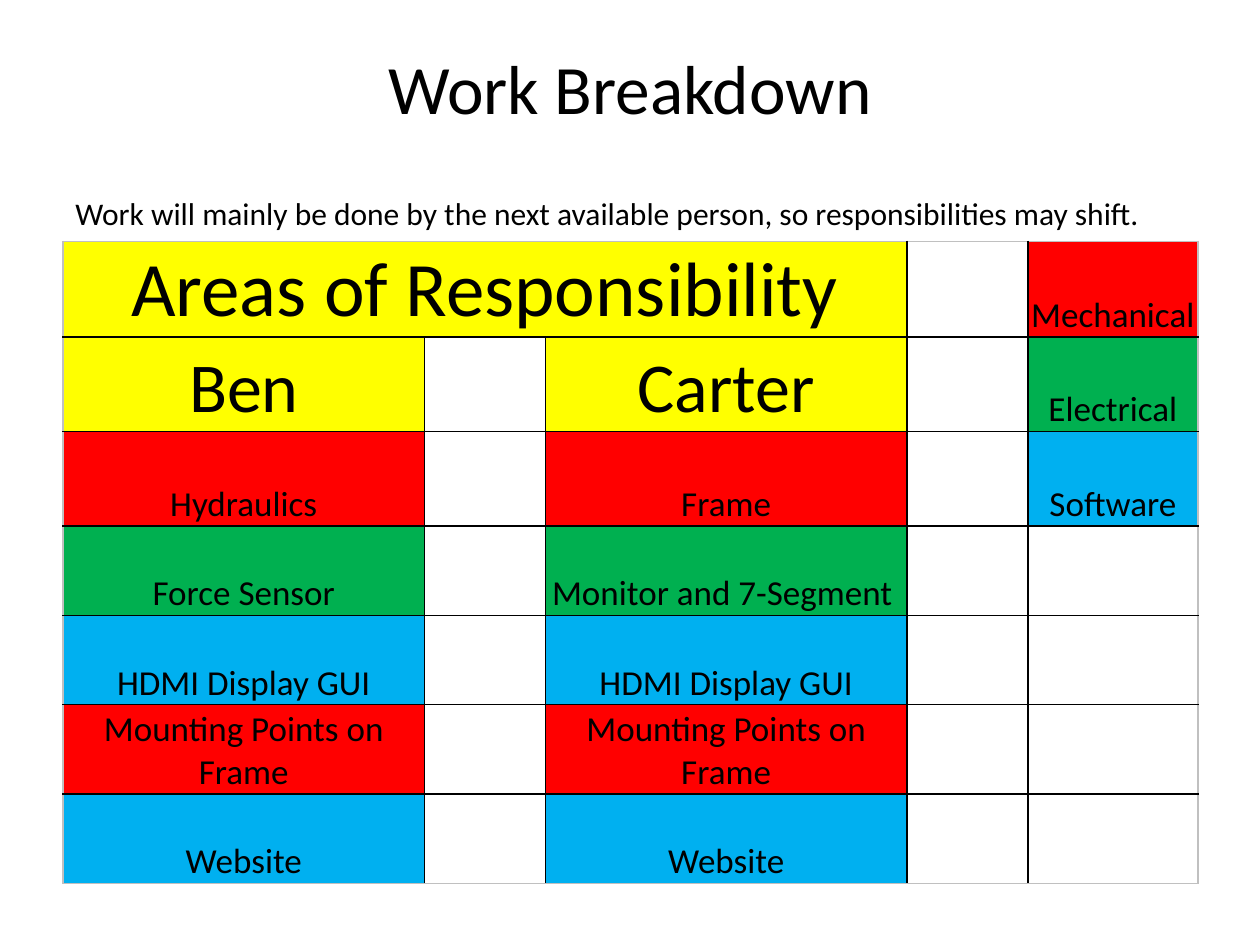
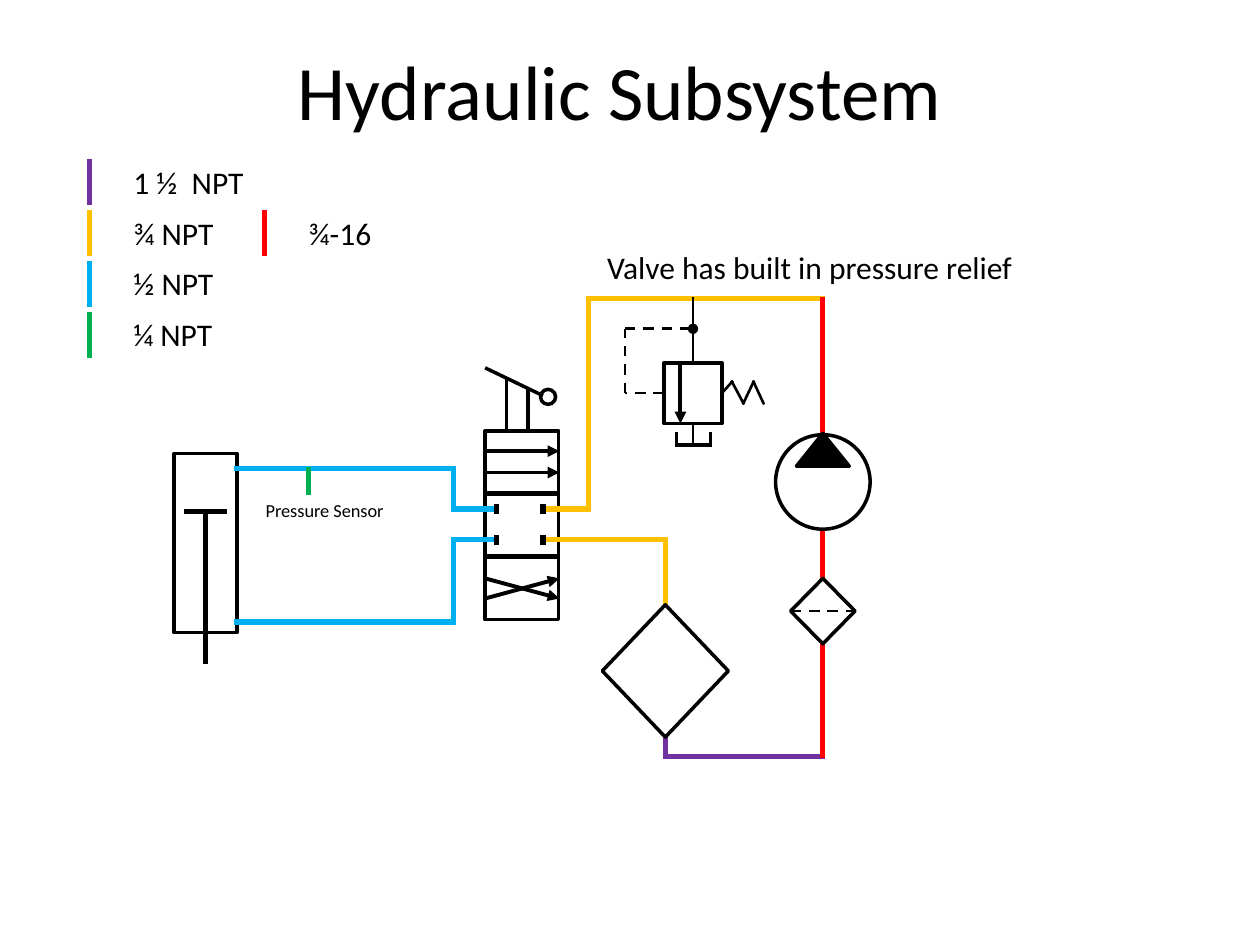
import dataclasses
import itertools
import typing

import lxml.etree
import pptx
import pptx.dml.color
import pptx.enum.dml
import pptx.enum.shapes
import pptx.enum.text
import pptx.oxml.ns
import pptx.util

Pt = pptx.util.Pt
qn = pptx.oxml.ns.qn
SHAPE = pptx.enum.shapes.MSO_SHAPE
ALIGN = pptx.enum.text.PP_ALIGN
ANCHOR = pptx.enum.text.MSO_ANCHOR
Point = tuple[float, float]
Box = tuple[float, float, float, float]


@dataclasses.dataclass(frozen=True)
class Theme:
    font: str = "Calibri"
    black: str = "000000"
    white: str = "FFFFFF"
    frame: str = "C0C0C0"
    yellow: str = "FFFF00"
    red: str = "FF0000"
    green: str = "00B050"
    blue: str = "00B0F0"
    amber: str = "FFC000"
    purple: str = "7030A0"
    title: float = 44
    small_title: float = 39.6
    names: float = 40
    task: float = 20
    body: float = 18
    note: float = 10.5
    pipe: float = 3
    arrow: float = 2.25
    outline: float = 2
    thin: float = 1.5


T = Theme()


@dataclasses.dataclass(frozen=True)
class Line:
    points: tuple[Point, ...]
    color: str = T.black
    width: float = T.pipe
    dashed: bool = False
    tip: str = ""


@dataclasses.dataclass(frozen=True)
class Part:
    kind: typing.Any
    box: Box
    fill: str = T.white


@dataclasses.dataclass(frozen=True)
class Label:
    text: str
    box: Box
    size: float = T.body
    wrap: bool = False


@dataclasses.dataclass(frozen=True)
class Task:
    text: str
    color: str
    size: float = T.task


@dataclasses.dataclass(frozen=True)
class Key:
    text: str
    color: str
    column: int
    row: int
    width: float


def rgb(color: str) -> pptx.dml.color.RGBColor:
    return pptx.dml.color.RGBColor.from_string(color)


def format_runs(tf, size: float, align=ALIGN.LEFT) -> None:
    for p in tf.paragraphs:
        p.alignment = align
        for r in p.runs:
            r.font.name, r.font.size = T.font, Pt(size)
            r.font.color.rgb = rgb(T.black)


def add_titled_slide(prs, text: str, box: Box, size: float):
    s = prs.slides.add_slide(prs.slide_layouts[5])
    sp = s.shapes.title
    sp.left, sp.top, sp.width, sp.height = map(Pt, box)
    tf = sp.text_frame
    tf.text = text
    tf.auto_size = pptx.enum.text.MSO_AUTO_SIZE.NONE
    tf.vertical_anchor = ANCHOR.MIDDLE
    format_runs(tf, size, ALIGN.CENTER)
    return s


def add_label(s, label: Label) -> None:
    tf = s.shapes.add_textbox(*map(Pt, label.box)).text_frame
    tf.text = label.text
    tf.word_wrap = label.wrap
    format_runs(tf, label.size)


def add_part(s, part: Part) -> None:
    sp = s.shapes.add_shape(part.kind, *map(Pt, part.box))
    sp.shadow.inherit = False
    sp.fill.solid()
    sp.fill.fore_color.rgb = rgb(part.fill)
    sp.line.color.rgb = rgb(T.black)
    sp.line.width = Pt(T.outline)


def add_line(s, line: Line) -> None:
    for start, end in itertools.pairwise(line.points):
        sp = s.shapes.add_connector(
            pptx.enum.shapes.MSO_CONNECTOR.STRAIGHT, *map(Pt, start + end))
        sp.line.color.rgb = rgb(line.color)
        sp.line.width = Pt(line.width)
        if line.dashed:
            sp.line.dash_style = pptx.enum.dml.MSO_LINE.DASH
        ln = sp.line._get_or_add_ln()
        if len(line.points) > 2:
            ln.set("cap", "sq" if not line.dashed else "flat")
        if line.tip and end == line.points[-1]:
            lxml.etree.SubElement(ln, qn("a:tailEnd"), type=line.tip)
        lxml.etree.SubElement(sp._element.spPr, qn("a:effectLst"))


def add_border(cell, side: str, color: str) -> None:
    ln = lxml.etree.SubElement(cell._tc.get_or_add_tcPr(), qn(f"a:{side}"), w=str(Pt(1)))
    fill = lxml.etree.SubElement(ln, qn("a:solidFill"))
    lxml.etree.SubElement(fill, qn("a:srgbClr"), val=color)


def add_task_table(s, rows, box: Box, widths, heights) -> None:
    last_row, last_col = len(heights) - 1, len(widths) - 1
    table = s.shapes.add_table(last_row + 1, last_col + 1, *map(Pt, box)).table
    table.first_row = table.horz_banding = False
    for column, width in zip(table.columns, widths):
        column.width = Pt(width)
    for row, height in zip(table.rows, heights):
        row.height = Pt(height)
    for i, j in itertools.product(range(last_row + 1), range(last_col + 1)):
        cell = table.cell(i, j)
        edges = {"lnL": j == 0, "lnR": j == last_col,
                 "lnT": i == 0, "lnB": i == last_row}
        for side, outer in edges.items():
            add_border(cell, side, T.frame if outer else T.black)
        task = rows[i].get(j)
        if not task:
            cell.fill.background()
            continue
        cell.text = task.text
        cell.fill.solid()
        cell.fill.fore_color.rgb = rgb(task.color)
        cell.vertical_anchor = ANCHOR.BOTTOM
        cell.margin_left = cell.margin_right = cell.margin_top = Pt(0.72)
        cell.margin_bottom = Pt(0)
        format_runs(cell.text_frame, task.size, ALIGN.CENTER)
    table.cell(0, 0).merge(table.cell(0, 2))


def build_work_breakdown(prs) -> None:
    s = add_titled_slide(prs, "Work Breakdown", (36, 21.6, 648, 56.2), T.small_title)
    ben, carter, area = 0, 2, 4
    rows = [
        {ben: Task("Areas of Responsibility", T.yellow, T.title),
         area: Task("Mechanical", T.red)},
        {ben: Task("Ben", T.yellow, T.names), carter: Task("Carter", T.yellow, T.names),
         area: Task("Electrical", T.green)},
        {ben: Task("Hydraulics", T.red), carter: Task("Frame", T.red),
         area: Task("Software", T.blue)},
        {ben: Task("Force Sensor", T.green),
         carter: Task("Monitor and 7-Segment ", T.green)},
    ]
    shared = [Task("HDMI Display GUI", T.blue), Task("Mounting Points on Frame", T.red),
              Task("Website", T.blue)]
    rows += [{ben: task, carter: task} for task in shared]
    add_task_table(s, rows, (36, 138, 648.6, 366.4),
                   (206.6, 69.1, 206.6, 69.1, 97.2), [54] * 3 + [51.1] * 4)
    add_label(s, Label(
        "Work will mainly be done by the next available person, "
        "so responsibilities may shift.", (36, 107.3, 635, 28.8)))


def add_pipe_legend(s) -> None:
    keys = [Key("1 ½  NPT", T.purple, 0, 0, 78.5), Key("¾ NPT", T.amber, 0, 1, 60.5),
            Key("½ NPT", T.blue, 0, 2, 60.5), Key("¼ NPT", T.green, 0, 3, 60.5),
            Key("¾-16", T.red, 1, 1, 54.7)]
    for key in keys:
        x, y = 51.1 + 100.1 * key.column, 90.9 + 29.1 * key.row
        add_line(s, Line(((x, y), (x, y + 26.3)), key.color))
        add_label(s, Label(key.text, (x + 18, y - 1.5, key.width, 28.8)))


def build_hydraulic_subsystem(prs) -> None:
    s = add_titled_slide(prs, "Hydraulic Subsystem", (30.2, 6.5, 648, 90), T.title)
    add_pipe_legend(s)
    pump_x, tank_x, relief_x = 470.2, 380.2, 396
    spool_l, spool_r, port_l, port_r = 277.2, 319.7, 283.7, 310.3
    port_top, port_bottom = 290.9, 308.5

    cylinder = Part(SHAPE.RECTANGLE, (99.4, 259.2, 36, 102.2))
    spool = Part(SHAPE.RECTANGLE, (spool_l, 246.2, 42, 108))
    knob = Part(SHAPE.OVAL, (308.9, 222.5, 8.6, 8.6))
    pump = Part(SHAPE.OVAL, (pump_x - 27, 248.4, 54, 54))
    pump_arrow = Part(SHAPE.FLOWCHART_EXTRACT, (pump_x - 15.1, 247.7, 30.2, 18.7), T.black)
    tank = Part(SHAPE.DIAMOND, (tank_x - 36, 345.6, 72, 75.6))
    filter_body = Part(SHAPE.DIAMOND, (pump_x - 18.4, 330.5, 36.8, 37.4))
    relief = Part(SHAPE.RECTANGLE, (379.4, 207.4, 33.1, 34.6))

    pipes = [
        Line(((135.4, 267.8), (259.2, 267.8), (259.2, port_top), (port_l, port_top)), T.blue),
        Line(((135.4, 355.4), (259.2, 355.4), (259.2, port_bottom), (port_l, port_bottom)),
             T.blue),
        Line(((port_r, port_top), (336.4, port_top), (336.4, 170.6), (pump_x, 170.6)), T.amber),
        Line(((port_r, port_bottom), (tank_x, port_bottom), (tank_x, 345.6)), T.amber),
        Line(((tank_x, 421.2), (tank_x, 432.5), (pump_x, 432.5)), T.purple),
        Line(((pump_x, 170), (pump_x, 248.4)), T.red),
        Line(((pump_x, 302.4), (pump_x, 433)), T.red),
        Line(((176.4, 267.1), (176.4, 283)), T.green),
    ]
    piston = [Line(((117.4, 293), (117.4, 379.4))), Line(((105.1, 292.3), (129.6, 292.3)))]
    dividers = [Line(((spool_l, y), (spool_r, y))) for y in (282.2, 318.2)]
    ports = [Line(((x, y - 2.9), (x, y + 2.9)))
             for x, y in itertools.product((port_l, port_r), (port_top, port_bottom))]
    flows = [Line(((spool_l, start), (spool_r, end)), width=T.arrow, tip="triangle")
             for start, end in ((257.8, 257.8), (270, 270), (330.5, 342), (342, 330.5))]
    lever = [Line(points, width=T.outline) for points in (
        ((301.7, 246.2), (301.7, 222.5)), ((289.4, 246.2), (289.4, 216)),
        ((310.3, 226.1), (277.2, 210.2)))]
    relief_lines = [
        Line(((388.8, 207.4), (388.8, 242)), width=T.arrow, tip="triangle"),
        Line(((379.4, 224.6), (357.1, 224.6), (357.1, 187.9), (relief_x, 187.9)),
             width=T.thin, dashed=True, tip="oval"),
        Line(((relief_x, 207.4), (relief_x, 170)), width=T.thin),
        Line(((relief_x, 254.2), (relief_x, 242)), width=T.thin),
        Line(((386.6, 248), (386.6, 254.2), (406.1, 254.2), (406.1, 248)), width=T.outline),
        Line(((412.6, 224.6), (418.3, 218.2), (424.8, 230.4), (430.6, 218.2), (436.3, 230.4)),
             width=T.thin),
    ]
    filter_mesh = Line(((pump_x - 18.4, 349.2), (pump_x + 18.4, 349.2)),
                       width=T.thin, dashed=True)

    layers = [cylinder, knob, spool, *pipes, *piston, *dividers, *ports, *flows, *lever,
              pump, pump_arrow, tank, relief, *relief_lines, filter_body, filter_mesh]
    for item in layers:
        if isinstance(item, Part):
            add_part(s, item)
        else:
            add_line(s, item)
    add_label(s, Label("Pressure Sensor", (144.7, 281.5, 86.4, 20.9), T.note))
    add_label(s, Label("Valve has built in pressure relief", (339.8, 138.2, 291.6, 28.8),
                       wrap=True))


def main() -> None:
    prs = pptx.Presentation()
    prs.slide_width, prs.slide_height = Pt(720), Pt(540)
    build_work_breakdown(prs)
    build_hydraulic_subsystem(prs)
    prs.save("out.pptx")


if __name__ == "__main__":
    main()
